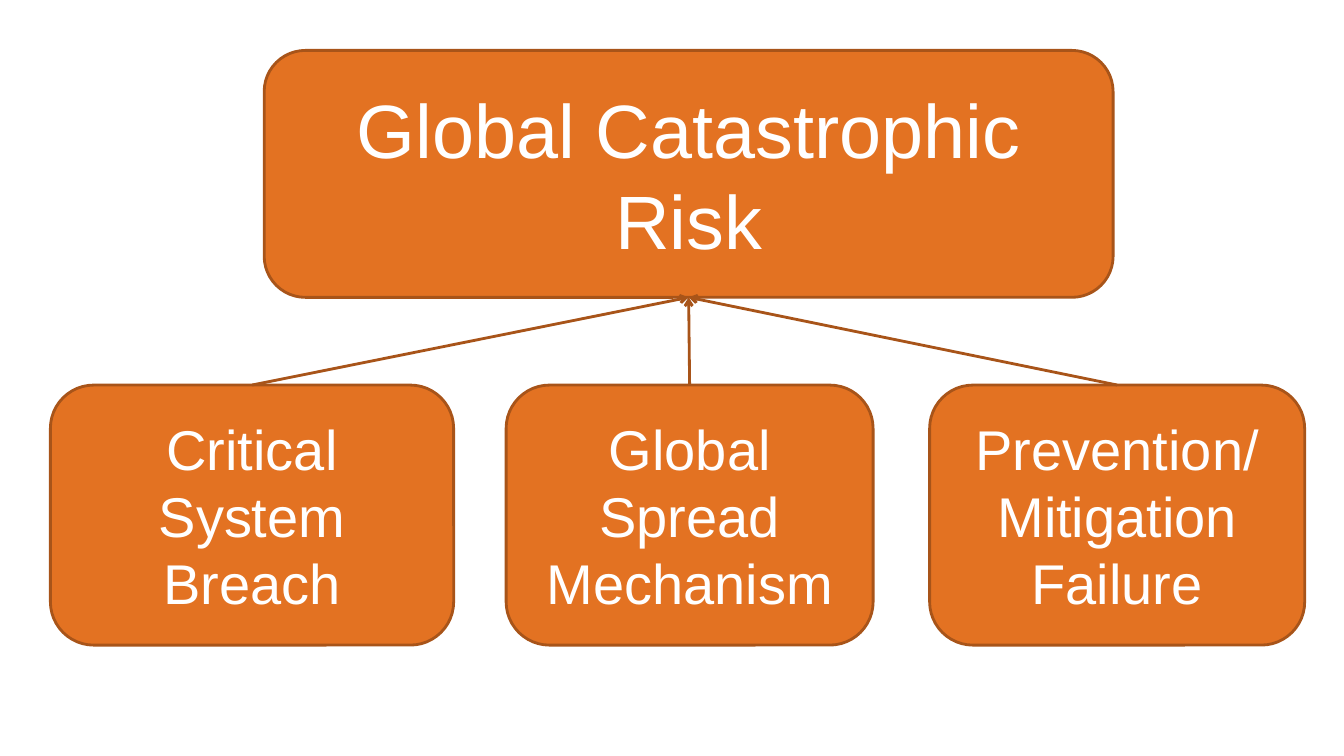
"""Build a slide showing three causes that lead to global catastrophic risk."""
from lxml import etree
from pptx import Presentation
from pptx.dml.color import RGBColor
from pptx.enum.shapes import MSO_CONNECTOR, MSO_SHAPE
from pptx.enum.text import MSO_ANCHOR, PP_ALIGN
from pptx.oxml.ns import qn
from pptx.util import Inches, Pt

ORANGE = RGBColor(0xE3, 0x72, 0x22)
BROWN = RGBColor(0xA8, 0x54, 0x19)
WHITE = RGBColor(0xFF, 0xFF, 0xFF)
ROUNDED = MSO_SHAPE.ROUNDED_RECTANGLE
STRAIGHT = MSO_CONNECTOR.STRAIGHT
MIDDLE = MSO_ANCHOR.MIDDLE
CENTER = PP_ALIGN.CENTER
TOP_SITE, BOTTOM_SITE = 0, 2
CAUSE_TOP, CAUSE_HEIGHT = 3.82, 2.58

prs = Presentation()
prs.slide_width = Inches(13.33)
prs.slide_height = Inches(7.5)
slide = prs.slides.add_slide(prs.slide_layouts[6])


def add_box(text, left, top, width, height, size):
    box = slide.shapes.add_shape(ROUNDED, Inches(left), Inches(top), Inches(width), Inches(height))
    box.shadow.inherit = False
    box.fill.solid()
    box.fill.fore_color.rgb = ORANGE
    box.line.color.rgb = BROWN
    box.line.width = Pt(2)
    frame = box.text_frame
    frame.word_wrap = True
    frame.vertical_anchor = MIDDLE
    label = frame.paragraphs[0]
    label.text = text
    label.alignment = CENTER
    label.font.name = "Arial"
    label.font.size = Pt(size)
    label.font.color.rgb = WHITE
    return box


risk = add_box("Global Catastrophic Risk", 2.62, 0.5, 8.42, 2.45, 54)
causes = [
    add_box(text, left, CAUSE_TOP, width, CAUSE_HEIGHT, 40)
    for text, left, width in [
        ("Critical System Breach", 0.5, 4),
        ("Global Spread Mechanism", 5.02, 3.64),
        ("Prevention/Mitigation Failure", 9.22, 3.72),
    ]
]

for cause in reversed(causes):
    arrow = slide.shapes.add_connector(STRAIGHT, 0, 0, 0, 0)
    arrow.begin_connect(cause, TOP_SITE)
    arrow.end_connect(risk, BOTTOM_SITE)
    arrow.line.color.rgb = BROWN
    arrow.line.width = Pt(2)
    etree.SubElement(arrow.line._get_or_add_ln(), qn("a:tailEnd"), type="arrow")
    etree.SubElement(arrow._element.spPr, qn("a:effectLst"))

prs.save("out.pptx")
